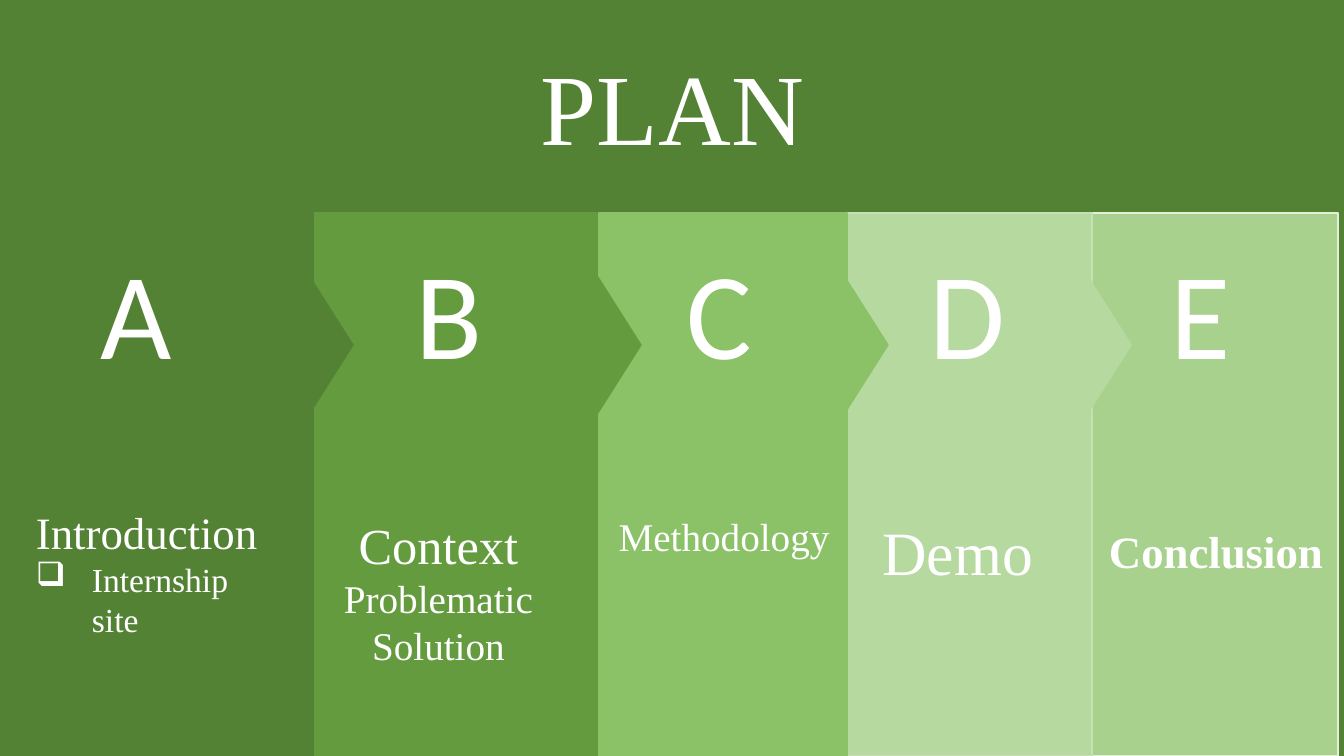
from pptx import Presentation
from pptx.dml.color import RGBColor
from pptx.enum.shapes import MSO_SHAPE as Shape
from pptx.enum.text import MSO_ANCHOR as Anchor, MSO_AUTO_SIZE as AutoSize, PP_ALIGN as Align
from pptx.oxml.ns import qn
from pptx.util import Pt
from lxml import etree

# Content
SERIF, SANS = "Times New Roman", "Calibri"
WHITE, BACKGROUND = "FFFFFF", "548235"
TITLE = "PLAN"
# Back to front. Label lines are (text, size, bullet); label box is left, top, width, height.
PANELS = [
    dict(letter="E", left=1090, width=248, fill="A9D18E", edge="E2F0D9", letter_left=1161,
         label=(1099, 519, 238, 65), align=Align.LEFT, bold=True,
         lines=[("Conclusion", 32, None)]),
    dict(letter="D", left=844, width=248, fill="B5D99F", edge="C5E0B4", letter_left=920,
         tip=1132, arrow_edge=None, box_fill="B5D99F",
         label=(867, 509, 197, 85), align=Align.CENTER,
         lines=[("Demo ", 44, None)]),
    dict(letter="C", left=599, width=248, fill="8BC167", edge="8BC167", letter_left=677,
         tip=888, arrow_edge="8BC167",
         label=(590, 507, 268, 57), align=Align.CENTER,
         lines=[("Methodology", 28, None)]),
    dict(letter="B", left=303, width=294, fill="649B3F", edge="649B3F", letter_left=406,
         tip=641, arrow_edge="649B3F",
         label=(330, 509, 217, 166), align=Align.CENTER,
         lines=[("Context", 36, None), ("Problematic", 28, None), ("Solution", 28, None)]),
    dict(letter="A", left=6, width=307, fill="548235", edge="548235", letter_left=91,
         tip=353, arrow_edge="548235",
         label=(26, 500, 263, 146), align=Align.LEFT,
         lines=[("Introduction", 32, None), ("Internship site", 24, "❑")]),
]

# Layout in px
SLIDE_WIDTH, SLIDE_HEIGHT = 1344, 756
PANEL_TOP = 213
ARROW_LENGTH, ARROW_BASE, ARROW_MIDDLE = 46, 145, 345
LETTER_TOP, LETTER_WIDTH, LETTER_HEIGHT = 231, 101, 159
BULLET_INDENT = 56


def emu(px):
    return round(px * 914400 / 100.8)


def color(value):
    return RGBColor.from_string(value)


def add_block(slide, kind, box, fill, edge=None):
    shape = slide.shapes.add_shape(kind, *map(emu, box))
    shape.shadow.inherit = False
    shape.fill.solid()
    shape.fill.fore_color.rgb = color(fill)
    if edge:
        shape.line.color.rgb = color(edge)
        shape.line.width = Pt(1)
    else:
        shape.line.fill.background()
    return shape


def add_bullet(paragraph, character):
    properties = paragraph._p.get_or_add_pPr()
    properties.set("marL", str(emu(BULLET_INDENT)))
    properties.set("indent", str(-emu(BULLET_INDENT)))
    etree.SubElement(properties, qn("a:buChar")).set("char", character)


def add_text(slide, box, lines, font, align=Align.LEFT, bold=False, fill=None,
             anchor=Anchor.TOP, auto_size=AutoSize.SHAPE_TO_FIT_TEXT):
    shape = slide.shapes.add_textbox(*map(emu, box))
    if fill:
        shape.fill.solid()
        shape.fill.fore_color.rgb = color(fill)
    frame = shape.text_frame
    frame_format = dict(word_wrap=True, vertical_anchor=anchor, auto_size=auto_size)
    for name, value in frame_format.items():
        setattr(frame, name, value)
    for index, (text, size, bullet) in enumerate(lines):
        paragraph = frame.add_paragraph() if index else frame.paragraphs[0]
        paragraph.alignment = align
        if bullet:
            add_bullet(paragraph, bullet)
        run = paragraph.add_run()
        run.text = text
        for name, value in dict(name=font, size=Pt(size), bold=bold).items():
            setattr(run.font, name, value)
        run.font.color.rgb = color(WHITE)
    return shape


def add_panel(slide, panel):
    # Column
    column = (panel["left"], PANEL_TOP, panel["width"], SLIDE_HEIGHT - PANEL_TOP)
    add_block(slide, Shape.RECTANGLE, column, panel["fill"], panel["edge"])
    # Letter
    letter_box = (panel["letter_left"], LETTER_TOP, LETTER_WIDTH, LETTER_HEIGHT)
    box_fill = panel.get("box_fill")
    add_text(slide, letter_box, [(panel["letter"], 88, None)], SANS, fill=box_fill)
    # Arrow pointing into the next column
    if "tip" in panel:
        center = panel["tip"] - ARROW_LENGTH / 2
        arrow_box = (center - ARROW_BASE / 2, ARROW_MIDDLE - ARROW_LENGTH / 2,
                     ARROW_BASE, ARROW_LENGTH)
        arrow = add_block(slide, Shape.ISOSCELES_TRIANGLE, arrow_box,
                          panel["fill"], panel["arrow_edge"])
        arrow.rotation = 90
    # Label
    add_text(slide, panel["label"], panel["lines"], SERIF, panel["align"],
             panel.get("bold", False), box_fill)


def main():
    presentation = Presentation()
    presentation.slide_width = emu(SLIDE_WIDTH)
    presentation.slide_height = emu(SLIDE_HEIGHT)
    slide = presentation.slides.add_slide(presentation.slide_layouts[6])
    slide.background.fill.solid()
    slide.background.fill.fore_color.rgb = color(BACKGROUND)

    # Title
    title = add_text(slide, (93, 40, 1159, 146), [(TITLE, 72, None)], SERIF, Align.CENTER,
                     anchor=Anchor.MIDDLE, auto_size=AutoSize.NONE)
    title.text_frame.paragraphs[0].line_spacing = 0.9

    # Panels
    for panel in PANELS:
        add_panel(slide, panel)
    presentation.save("out.pptx")


if __name__ == "__main__":
    main()
